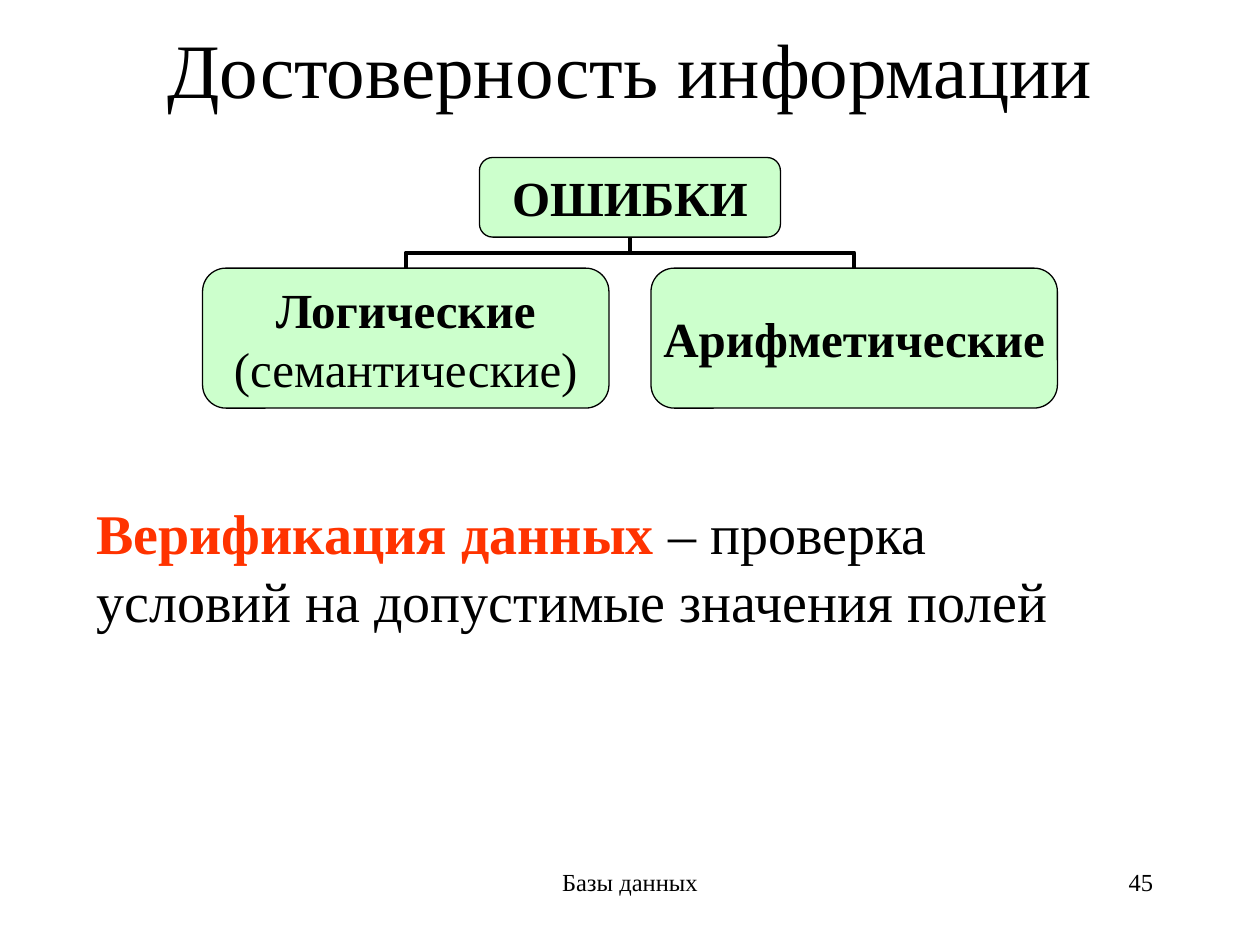
from lxml import etree
from pptx import Presentation
from pptx.dml.color import RGBColor
from pptx.enum.shapes import MSO_CONNECTOR, MSO_SHAPE
from pptx.enum.text import MSO_ANCHOR, PP_ALIGN
from pptx.oxml.ns import qn
from pptx.util import Pt

ELBOW = MSO_CONNECTOR.ELBOW
ROUND = MSO_SHAPE.ROUNDED_RECTANGLE
TOP, MIDDLE = MSO_ANCHOR.TOP, MSO_ANCHOR.MIDDLE
LEFT, CENTER, RIGHT = PP_ALIGN.LEFT, PP_ALIGN.CENTER, PP_ALIGN.RIGHT
FONT = "Times New Roman"
COLORS = {"ink": "000000", "node": "CCFFCC", "key": "FF3300"}


def color(name):
    """Return the named colour."""
    return RGBColor.from_string(COLORS[name])


def style(font, size, ink="ink", bold=False):
    """Set the face, size, colour and weight of a font."""
    font.name, font.size, font.bold = FONT, Pt(size), bold
    font.color.rgb = color(ink)


def add_text(slide, box, text, size, align=LEFT, anchor=TOP):
    """Add a wrapped text box and return its paragraph."""
    frame = slide.shapes.add_textbox(*map(Pt, box)).text_frame
    frame.word_wrap = True
    frame.vertical_anchor = anchor
    para = frame.paragraphs[0]
    para.text, para.alignment = text, align
    style(para.font, size)
    return para


def add_node(slide, box, lines):
    """Add a rounded node with a bold first line."""
    node = slide.shapes.add_shape(ROUND, *map(Pt, box))
    node.shadow.inherit = False
    node.fill.solid()
    node.fill.fore_color.rgb = color("node")
    node.line.color.rgb = color("ink")
    node.line.width = Pt(0.75)
    frame = node.text_frame
    frame.word_wrap = False
    frame.vertical_anchor = MIDDLE
    frame.text = "\n".join(lines)
    for i, para in enumerate(frame.paragraphs):
        para.alignment = CENTER
        style(para.font, 28, bold=i == 0)


def add_link(slide, start, end):
    """Add an elbow that leaves and arrives vertically, as a turned connector."""
    (x1, y1), (x2, y2) = start, end
    side = 1 if x1 > x2 else -1
    mid_x, mid_y = (x1 + x2) / 2, (y1 + y2) / 2
    half, reach = side * (y1 - y2) / 2, abs(x1 - x2) / 2
    ends = (mid_x - half, mid_y + reach, mid_x + half, mid_y - reach)
    link = slide.shapes.add_connector(ELBOW, *map(Pt, ends))
    link.line.color.rgb = color("ink")
    link.line.width = Pt(2.25)
    props = link._element.spPr
    props.find(qn("a:xfrm")).set("rot", str(-side * 90 * 60000 % 21600000))
    etree.SubElement(props, qn("a:effectLst"))


def add_tree(slide, box, root, leaves):
    """Draw a root node over a row of leaves."""
    x, y, w, h = box
    root_w, root_h, leaf_h, gap = 172, 45.5, 80, 24
    leaf_w = (w - gap * (len(leaves) - 1)) / len(leaves)
    mid, leaf_y = x + w / 2, y + h - leaf_h
    spots = [x + i * (leaf_w + gap) for i in range(len(leaves))]
    for left in spots:
        add_link(slide, (left + leaf_w / 2, leaf_y), (mid, y + root_h))
    add_node(slide, (mid - root_w / 2, y, root_w, root_h), root)
    for left, lines in zip(spots, leaves):
        add_node(slide, (left, leaf_y, leaf_w, leaf_h), lines)


def add_note(slide, box, term, text):
    """Add a definition with its term in bold colour."""
    para = add_text(slide, box, term, 32)
    style(para.runs[0].font, 32, "key", True)
    run = para.add_run()
    run.text = text


def add_foot(slide, box, label, number):
    """Add the centred footer label and the page number at the right."""
    x, y, w, h = box
    add_text(slide, (x + 192, y, 228, h), label, 14, CENTER)
    add_text(slide, (x + w - 150, y, 150, h), number, 14, RIGHT)


def main():
    """Build and save the slide."""
    deck = Presentation()
    deck.slide_width, deck.slide_height = Pt(720), Pt(540)
    slide = deck.slides.add_slide(deck.slide_layouts[6])
    add_foot(slide, (54, 492, 612, 36), "Базы данных", "45")
    add_tree(slide, (115.75, 90, 488.5, 143.25), ["ОШИБКИ"],
             [["Логические", "(семантические)"], ["Арифметические"]])
    add_text(slide, (54, 0, 612, 77), "Достоверность информации", 44, CENTER, MIDDLE)
    add_note(slide, (48, 281.5, 607, 84), "Верификация данных",
             " – проверка условий на допустимые значения полей")
    deck.save("out.pptx")


if __name__ == "__main__":
    main()
